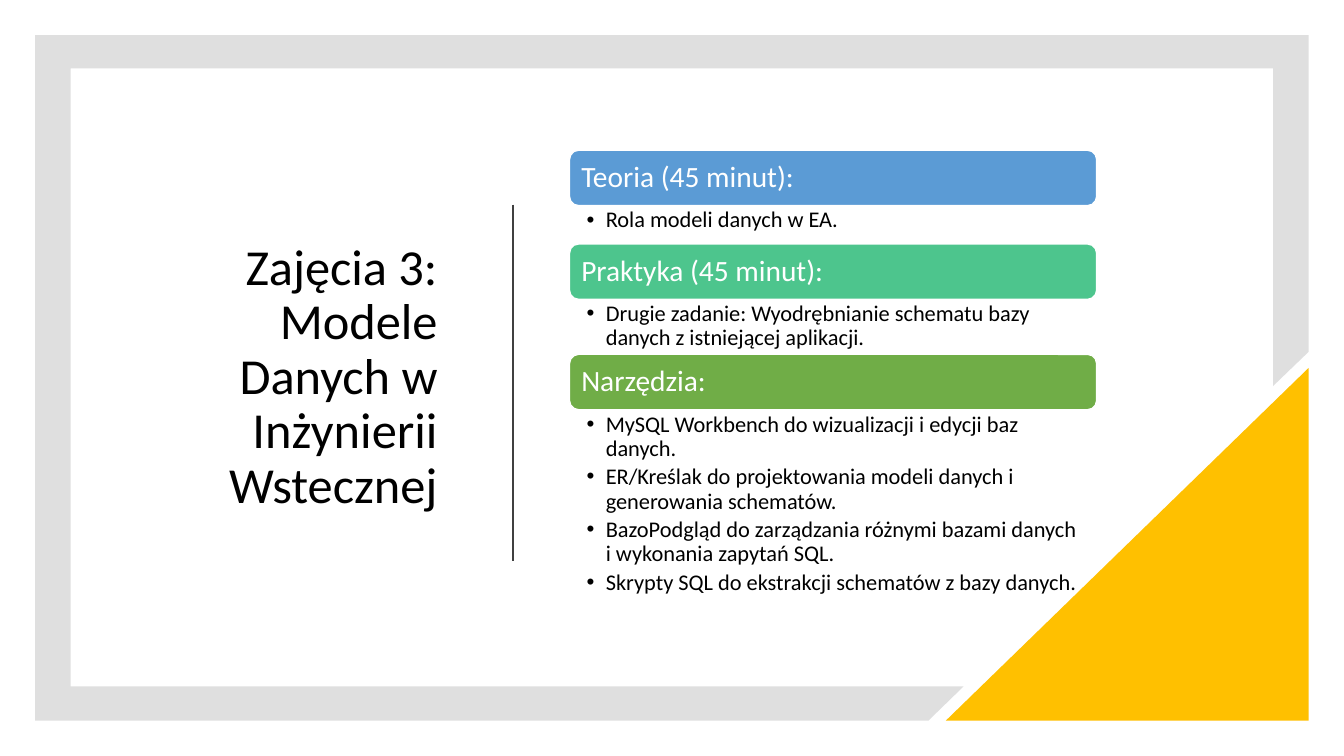
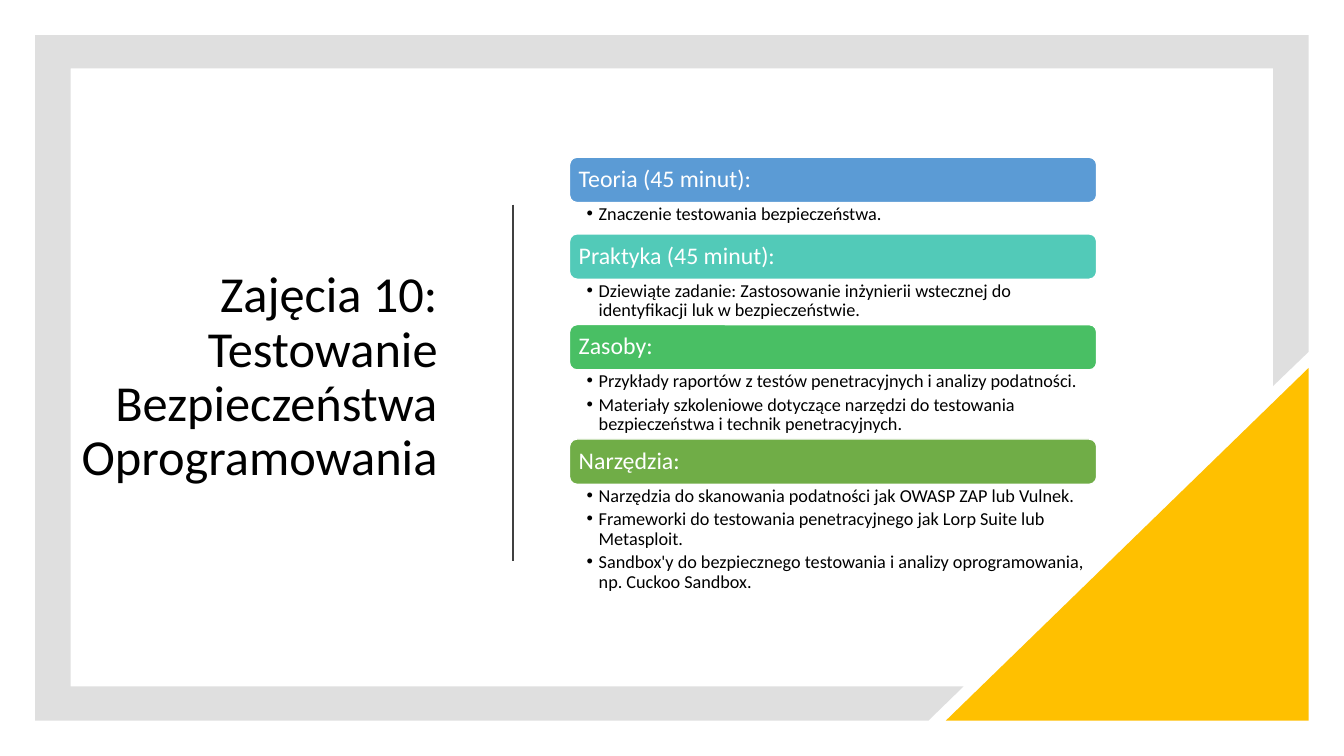
"""Build two lesson-plan slides on a grid of tenth-inch cells."""
import dataclasses

import lxml.etree
import pptx
import pptx.dml.color
import pptx.enum.shapes
import pptx.enum.text
import pptx.oxml.ns
import pptx.util

COLS, ROWS = 133.33, 75
MARGIN = 3.5
RIGHT, BOTTOM = COLS - MARGIN, ROWS - MARGIN
LIST_LEFT, LIST_WIDTH = 56.5, 52.3
TITLE_RIGHT = 44.4

ALIGN = pptx.enum.text.PP_ALIGN
ANCHOR = pptx.enum.text.MSO_ANCHOR
SHAPE = pptx.enum.shapes.MSO_SHAPE
qn = pptx.oxml.ns.qn


@dataclasses.dataclass(frozen=True)
class Theme:
    """Colours, font and type sizes."""
    font: str = "Calibri"
    ink: str = "000000"
    paper: str = "FFFFFF"
    frame: str = "808080"
    frame_alpha: int = 25
    corner: str = "FFC000"
    rule: str = "404040"
    blue: str = "5B9BD5"
    green: str = "4DC58D"
    teal: str = "52CAB8"
    emerald: str = "49BF64"
    olive: str = "70AD47"
    title_size: int = 36
    line_spacing: float = 0.9


@dataclasses.dataclass(frozen=True)
class Density:
    """Sizes that depend on how full a list is, in cells and points."""
    top: float
    bar: float
    head_size: int
    item_size: int
    bar_inset: float
    item_insets: tuple
    hang: float


T = Theme()
ROOMY = Density(14.9, 5.5, 21, 16, 0.9, (1.7, 0.3, 1.6, 0.3), 1.9)
DENSE = Density(15.6, 4.5, 17, 13, 0.7, (1.7, 0.2, 1.3, 0.2), 1.2)

LESSONS = [
    ("Zajęcia 3: Modele Danych w Inżynierii Wstecznej", 33.4, ROOMY, [
        ("Teoria (45 minut):", T.blue, 3.8, ["Rola modeli danych w EA."]),
        ("Praktyka (45 minut):", T.green, 5.45, [
            "Drugie zadanie: Wyodrębnianie schematu bazy danych z istniejącej aplikacji."]),
        ("Narzędzia:", T.olive, 19.5, [
            "MySQL Workbench do wizualizacji i edycji baz danych.",
            "ER/Kreślak do projektowania modeli danych i generowania schematów.",
            "BazoPodgląd do zarządzania różnymi bazami danych i wykonania zapytań SQL.",
            "Skrypty SQL do ekstrakcji schematów z bazy danych."]),
    ]),
    ("Zajęcia 10: Testowanie Bezpieczeństwa Oprogramowania", 37.4, DENSE, [
        ("Teoria (45 minut):", T.blue, 3.1, ["Znaczenie testowania bezpieczeństwa."]),
        ("Praktyka (45 minut):", T.teal, 4.5, [
            "Dziewiąte zadanie: Zastosowanie inżynierii wstecznej do "
            "identyfikacji luk w bezpieczeństwie."]),
        ("Zasoby:", T.emerald, 6.85, [
            "Przykłady raportów z testów penetracyjnych i analizy podatności.",
            "Materiały szkoleniowe dotyczące narzędzi do testowania "
            "bezpieczeństwa i technik penetracyjnych."]),
        ("Narzędzia:", T.olive, 11.4, [
            "Narzędzia do skanowania podatności jak OWASP ZAP lub Vulnek.",
            "Frameworki do testowania penetracyjnego jak Lorp Suite lub Metasploit.",
            "Sandbox'y do bezpiecznego testowania i analizy oprogramowania, "
            "np. Cuckoo Sandbox."]),
    ]),
]


def cells(*counts):
    """Turn grid cells into lengths."""
    return [pptx.util.Inches(n / 10) for n in counts]


def rgb(code):
    """Turn a hex code into a colour."""
    return pptx.dml.color.RGBColor.from_string(code)


def paint(sp, fill, line=None):
    """Set a flat fill and an optional thin outline."""
    sp.shadow.inherit = False
    sp.fill.solid()
    sp.fill.fore_color.rgb = rgb(fill)
    if line:
        sp.line.color.rgb = rgb(line)
        sp.line.width = pptx.util.Pt(1)
    else:
        sp.line.fill.background()


def write(sp, *texts, size, color=T.ink, align=ALIGN.LEFT, anchor=ANCHOR.TOP,
          insets=(1, 0.5, 1, 0.5), hang=0, after=0):
    """Fill a shape with paragraphs, bulleted when hang is given."""
    tf = sp.text_frame
    tf.word_wrap = True
    tf.vertical_anchor = anchor
    tf.margin_left, tf.margin_top, tf.margin_right, tf.margin_bottom = cells(*insets)
    for i, text in enumerate(texts):
        p = tf.add_paragraph() if i else tf.paragraphs[0]
        if hang:
            indent, = cells(hang)
            pPr = p._p.get_or_add_pPr()
            pPr.set("marL", str(indent))
            pPr.set("indent", str(-indent))
            lxml.etree.SubElement(pPr, qn("a:buFont"), typeface="Arial")
            lxml.etree.SubElement(pPr, qn("a:buChar"), char="•")
        p.alignment = align
        p.line_spacing = T.line_spacing
        p.space_after = pptx.util.Pt(after)
        r = p.add_run()
        r.text = text
        r.font.name = T.font
        r.font.size = pptx.util.Pt(size)
        r.font.color.rgb = rgb(color)


def add_frame(s):
    """Draw the translucent frame, cut at the lower right."""
    outer = [(MARGIN, MARGIN), (RIGHT, MARGIN), (RIGHT, 34.9)]
    inner = [(126.3, 38.3), (126.3, 6.8), (7, 6.8), (7, 68.1), (95.6, 68.1)]
    points = [tuple(cells(*xy)) for xy in
              outer + inner + [(92.1, BOTTOM), (MARGIN, BOTTOM)]]
    fb = s.shapes.build_freeform(*points[0])
    fb.add_line_segments(points[1:], close=True)
    sp = fb.convert_to_shape()
    paint(sp, T.frame)
    color = sp._element.spPr.find(".//" + qn("a:srgbClr"))
    lxml.etree.SubElement(color, qn("a:alpha"), val=str(T.frame_alpha * 1000))


def add_corner(s):
    """Draw the corner triangle."""
    w, h = 36, 35
    sp = s.shapes.add_shape(SHAPE.RIGHT_TRIANGLE,
                            *cells(RIGHT - w, BOTTOM - h, w, h))
    paint(sp, T.corner)
    sp._element.spPr.xfrm.set("flipH", "1")


def add_rule(s):
    """Draw the line between title and list."""
    line = s.shapes.add_connector(pptx.enum.shapes.MSO_CONNECTOR.STRAIGHT,
                                  *cells(50.9, 20.3, 50.9, 55.7))
    line.line.color.rgb = rgb(T.rule)
    line.line.width = pptx.util.Pt(1.5)
    lxml.etree.SubElement(line._element.spPr, qn("a:effectLst"))


def add_title(s, title, width):
    """Write the title, flush right beside the rule."""
    sp = s.shapes.add_textbox(*cells(TITLE_RIGHT - width, 13, width, 49))
    write(sp, title, size=T.title_size, align=ALIGN.RIGHT, anchor=ANCHOR.MIDDLE)


def add_sections(s, sections, d):
    """Stack header bars and their bullet lists."""
    y = d.top
    for head, fill, height, items in sections:
        bar = s.shapes.add_shape(SHAPE.ROUNDED_RECTANGLE,
                                 *cells(LIST_LEFT, y, LIST_WIDTH, d.bar))
        paint(bar, fill, T.paper)
        write(bar, head, size=d.head_size, color=T.paper,
              anchor=ANCHOR.MIDDLE, insets=(d.bar_inset,) * 4)
        y += d.bar
        body = s.shapes.add_textbox(*cells(LIST_LEFT, y, LIST_WIDTH, height))
        write(body, *items, size=d.item_size, insets=d.item_insets,
              hang=d.hang, after=d.item_size * 0.2)
        y += height


def main():
    """Build and save the deck."""
    prs = pptx.Presentation()
    prs.slide_width, prs.slide_height = cells(COLS, ROWS)
    for title, width, density, sections in LESSONS:
        s = prs.slides.add_slide(prs.slide_layouts[6])
        add_frame(s)
        add_corner(s)
        add_title(s, title, width)
        add_rule(s)
        add_sections(s, sections, density)
    prs.save("out.pptx")


if __name__ == "__main__":
    main()
